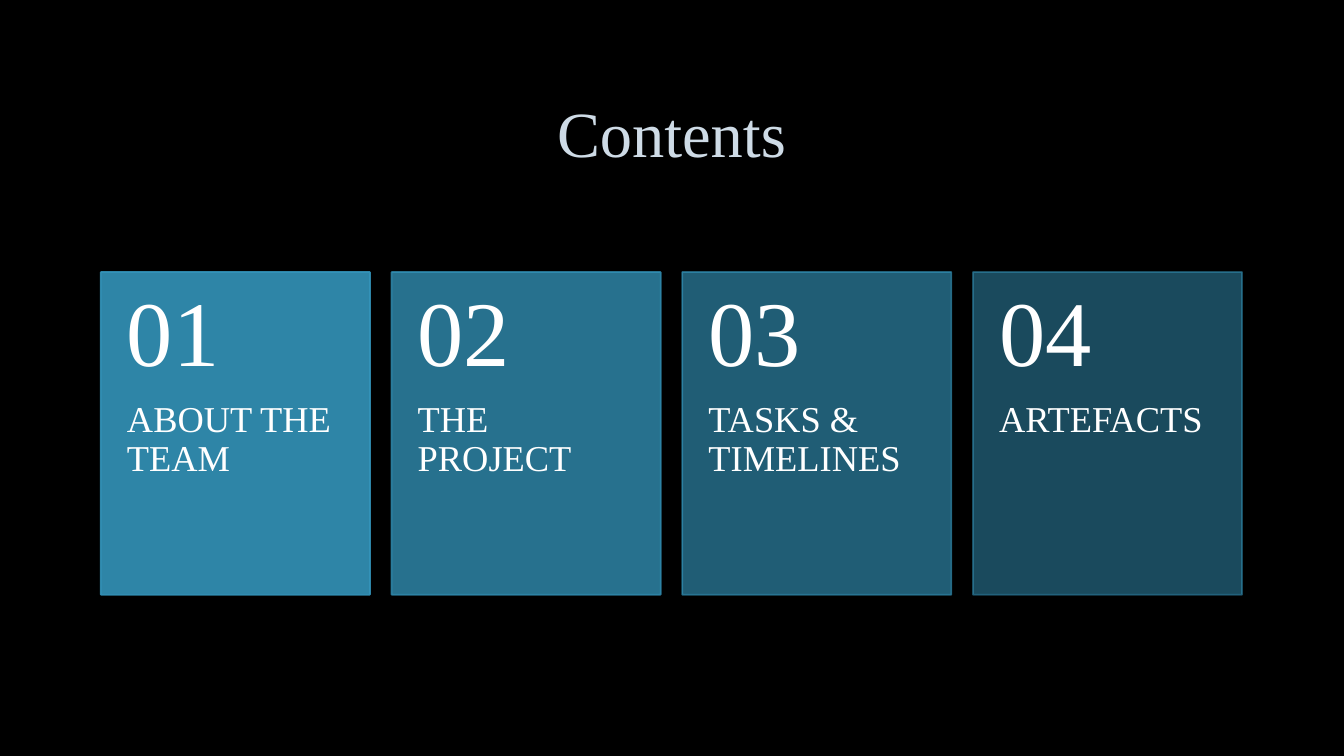
from lxml.etree import SubElement as Sub
from pptx import Presentation as Deck
from pptx.dml.color import RGBColor as RGB
from pptx.enum.shapes import MSO_SHAPE as Kind
from pptx.enum.text import MSO_ANCHOR as Anchor, PP_ALIGN as Align
from pptx.oxml.ns import qn
from pptx.util import Inches, Pt

HUES = {"back": "000000", "title": "CEDBE6", "edge": "404040",
        "card": "3494BA", "text": "FFFFFF"}
FONT = "Times New Roman"
WIDE, HIGH = 13.33, 7.5
LEFT, TOP = 1, 2.7
CARD, STEP, ROW = 2.67, 8.65 / 3, 0.64
ITEMS = [("ABOUT THE TEAM", 90), ("THE PROJECT", 77),
         ("TASKS & TIMELINES", 63), ("ARTEFACTS", 50)]


def fade(node, share):
    Sub(node, qn("a:alpha")).set("val", str(share * 1000))


def write(box, text, size, hue="text", anchor=Anchor.TOP,
          align=Align.LEFT, pad=(0.1, 0.05, 0.1, 0.05)):
    frame = box.text_frame
    frame.word_wrap = True
    frame.vertical_anchor = anchor
    (frame.margin_left, frame.margin_top,
     frame.margin_right, frame.margin_bottom) = map(Inches, pad)
    para = frame.paragraphs[0]
    para.alignment = align
    para.line_spacing = 0.9
    run = para.add_run()
    run.text = text
    run.font.name = FONT
    run.font.size = Pt(size)
    run.font.color.rgb = RGB.from_string(HUES[hue])
    return run


class Page:
    def __init__(self):
        self.deck = Deck()
        self.deck.slide_width = Inches(WIDE)
        self.deck.slide_height = Inches(HIGH)
        self.slide = self.deck.slides.add_slide(self.deck.slide_layouts[6])
        fill = self.slide.background.fill
        fill.solid()
        fill.fore_color.rgb = RGB.from_string(HUES["back"])
        self.group = self.slide.shapes.add_group_shape()

    def cell(self, col, row, rows):
        return [Inches(n) for n in
                (LEFT + col * STEP, TOP + row * ROW, CARD, rows * ROW)]

    def title(self, text):
        box = self.slide.shapes.add_textbox(
            Inches(LEFT), Inches(0.67), Inches(3 * STEP + CARD), Inches(1.38))
        run = write(box, text, 46, "title", Anchor.MIDDLE, Align.CENTER)
        props = run.font.fill._xPr
        line = Sub(props, qn("a:ln"), w=str(Pt(0.75)))
        solid = Sub(line, qn("a:solidFill"))
        fade(Sub(solid, qn("a:srgbClr"), val=HUES["edge"]), 10)
        props.insert(0, line)

    def panel(self, col, share):
        box = self.group.shapes.add_shape(Kind.RECTANGLE, *self.cell(col, 0, 5))
        box.shadow.inherit = False
        box.line.width = Pt(1.25)
        for fill in (box.fill, box.line.fill):
            fill.solid()
            fill.fore_color.rgb = RGB.from_string(HUES["card"])
        for node in box._element.spPr.iter(qn("a:srgbClr")):
            fade(node, share)

    def label(self, col, text):
        box = self.group.shapes.add_textbox(*self.cell(col, 2, 3))
        write(box, text, 26, pad=(0.26, 0, 0.26, 0.36))

    def number(self, col):
        box = self.group.shapes.add_textbox(*self.cell(col, 0, 2))
        write(box, f"{col + 1:02}", 66, anchor=Anchor.MIDDLE,
              pad=(0.26, 0.18, 0.26, 0.18))


def main():
    page = Page()
    page.title("Contents")
    for col, (text, share) in enumerate(ITEMS):
        page.panel(col, share)
        page.label(col, text)
        page.number(col)
    page.deck.save("out.pptx")


if __name__ == "__main__":
    main()
